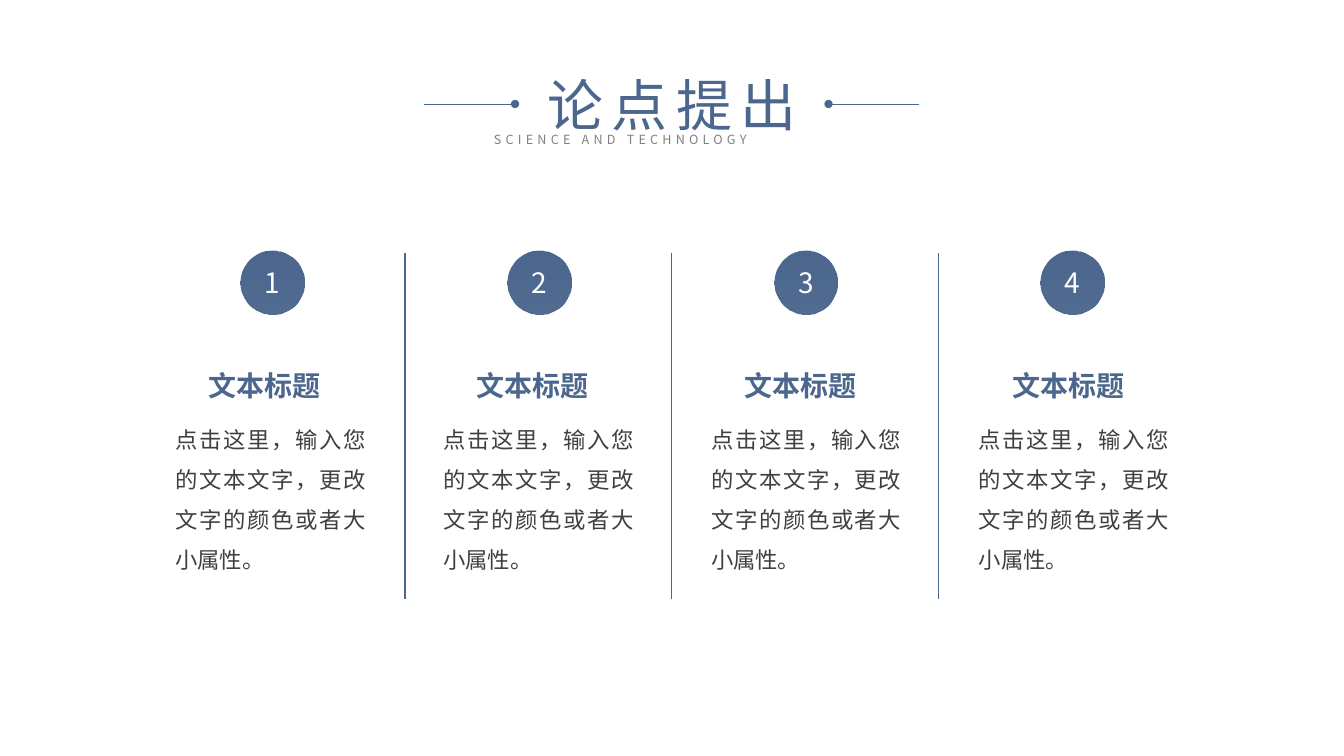
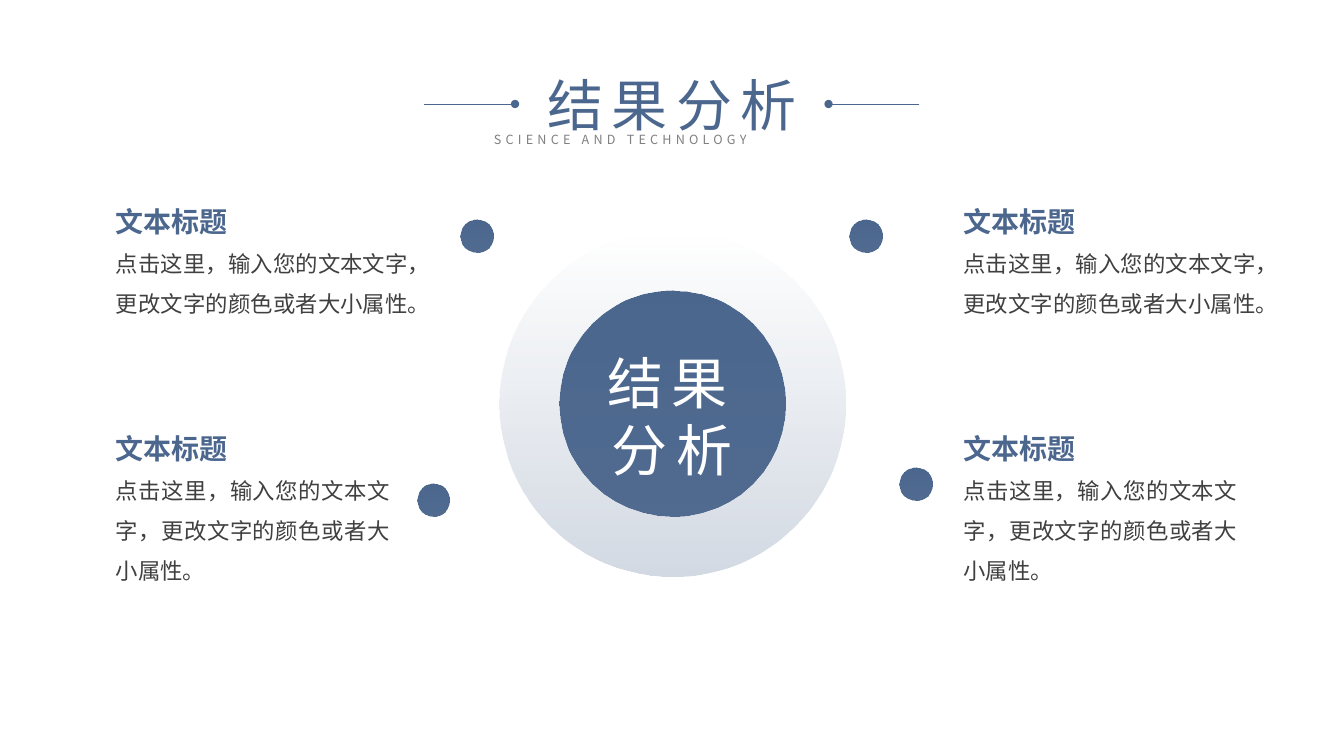
import pptx
import pptx.util
import pptx.dml.color
import pptx.enum.shapes
import pptx.enum.text
import pptx.oxml.ns
from lxml import etree

Cm = pptx.util.Cm
Pt = pptx.util.Pt
qn = pptx.oxml.ns.qn
ALIGN = pptx.enum.text.PP_ALIGN
ANCHOR = pptx.enum.text.MSO_ANCHOR

FONT = "Noto Sans CJK SC"
COLORS = {"navy": "4C678E", "gray": "808080", "ink": "404040", "white": "FFFFFF"}
HEADING = "文本标题"
DETAIL = "点击这里，输入您的文本文字，更改文字的颜色或者大小属性。"


class Slides:
    """Holds the deck, its style and the current page."""

    def __init__(self):
        self.deck = pptx.Presentation()
        self.deck.slide_width = Cm(33.87)
        self.deck.slide_height = Cm(19.05)
        self.page = None

    def color(self, name):
        return pptx.dml.color.RGBColor.from_string(COLORS[name])

    def fill_text(self, shape, text, size, color, align=ALIGN.JUSTIFY, leading=None,
                  bold=False, spacing=0, inset=0, anchor=ANCHOR.TOP):
        frame = shape.text_frame
        frame.text = text
        frame.word_wrap = True
        frame.auto_size = pptx.enum.text.MSO_AUTO_SIZE.NONE
        frame.vertical_anchor = anchor
        frame.margin_left = frame.margin_right = Cm(inset)
        frame.margin_top = frame.margin_bottom = Cm(inset / 2)
        para = frame.paragraphs[0]
        para.alignment = align
        if leading:
            para.line_spacing = Pt(leading)
        span = para.runs[0]
        span.font.size = Pt(size)
        span.font.bold = bold
        span.font.color.rgb = self.color(color)
        span.font.name = FONT
        properties = span.font._element
        etree.SubElement(properties, qn("a:ea"), typeface=FONT)
        if spacing:
            properties.set("spc", str(spacing * 100))

    def text(self, left, top, width, height, text, size, color, **style):
        box = self.page.shapes.add_textbox(Cm(left), Cm(top), Cm(width), Cm(height))
        self.fill_text(box, text, size, color, **style)

    def line(self, x1, y1, x2, y2, weight, dotted_end=False):
        line = self.page.shapes.add_connector(
            pptx.enum.shapes.MSO_CONNECTOR.STRAIGHT, Cm(x1), Cm(y1), Cm(x2), Cm(y2))
        line.line.color.rgb = self.color("navy")
        line.line.width = Pt(weight)
        properties = line._element.spPr
        if dotted_end:
            etree.SubElement(properties.find(qn("a:ln")), qn("a:tailEnd"), type="oval")
        etree.SubElement(properties, qn("a:effectLst"))

    def circle(self, left, top, size, opacities=(100, 97)):
        circle = self.page.shapes.add_shape(
            pptx.enum.shapes.MSO_SHAPE.OVAL, Cm(left), Cm(top), Cm(size), Cm(size))
        circle.shadow.inherit = False
        circle.line.fill.background()
        circle.fill.gradient()
        circle.fill.gradient_angle = 270
        for stop in circle.fill.gradient_stops:
            stop.color.rgb = self.color("navy")
        for node, opacity in zip(circle._element.spPr.iter(qn("a:srgbClr")), opacities):
            etree.SubElement(node, qn("a:alpha"), val=str(opacity * 1000))
        return circle

    def add_page(self, title):
        self.page = self.deck.slides.add_slide(self.deck.slide_layouts[5])
        box = self.page.shapes.title
        box.left, box.top, box.width, box.height = Cm(13.11), Cm(1.5), Cm(7.65), Cm(2.1)
        self.fill_text(box, title, 40, "navy", align=ALIGN.CENTER, leading=52,
                       spacing=6, inset=0.25)
        self.text(12.2, 3.18, 9.5, 0.63, "SCIENCE AND TECHNOLOGY", 9, "gray",
                  leading=11.5, spacing=3, inset=0.25)
        for outer, inner in ((10.69, 12.98), (23.17, 20.88)):
            self.line(outer, 2.62, inner, 2.62, 0.5, dotted_end=True)

    def heading(self, left, top):
        self.text(left, top, 3.12, 1.34, HEADING, 20, "navy", leading=38, bold=True)

    def detail(self, left, top, width, height):
        self.text(left, top, width, height, DETAIL, 16, "ink", leading=28.6)


def add_arguments(slides):
    slides.add_page("论点提出")
    for index in range(4):
        badge = slides.circle(6.07 + 6.72 * index, 6.32, 1.6)
        slides.fill_text(badge, str(index + 1), 20, "white", align=ALIGN.CENTER,
                         anchor=ANCHOR.MIDDLE)
        slides.heading(5.26 + 6.75 * index, 8.79)
        slides.detail(4.42 + 6.75 * index, 10.41, 4.8, 4.11)
    for index in range(3):
        x = 10.21 + 6.72 * index
        slides.line(x, 6.38, x, 15.09, 1)


def add_results(slides):
    slides.add_page("结果分析")
    slides.circle(12.6, 5.82, 8.7, opacities=(0, 25))
    slides.circle(14.1, 7.32, 5.7)
    slides.text(14.71, 8.66, 4.45, 3.68, "结果分析", 40, "white", align=ALIGN.CENTER,
                leading=48, spacing=6, inset=0.25)
    for left, top in ((11.61, 5.54), (21.41, 5.54), (10.52, 12.19), (22.68, 11.79)):
        slides.circle(left, top, 0.82)
    for left in (2.92, 24.28):
        for top, width in ((4.67, 7.37), (10.39, 6.91)):
            slides.heading(left, top)
            slides.detail(left, top + 1.3, width, 3.1)


def main():
    slides = Slides()
    add_arguments(slides)
    add_results(slides)
    slides.deck.save("out.pptx")


if __name__ == "__main__":
    main()
